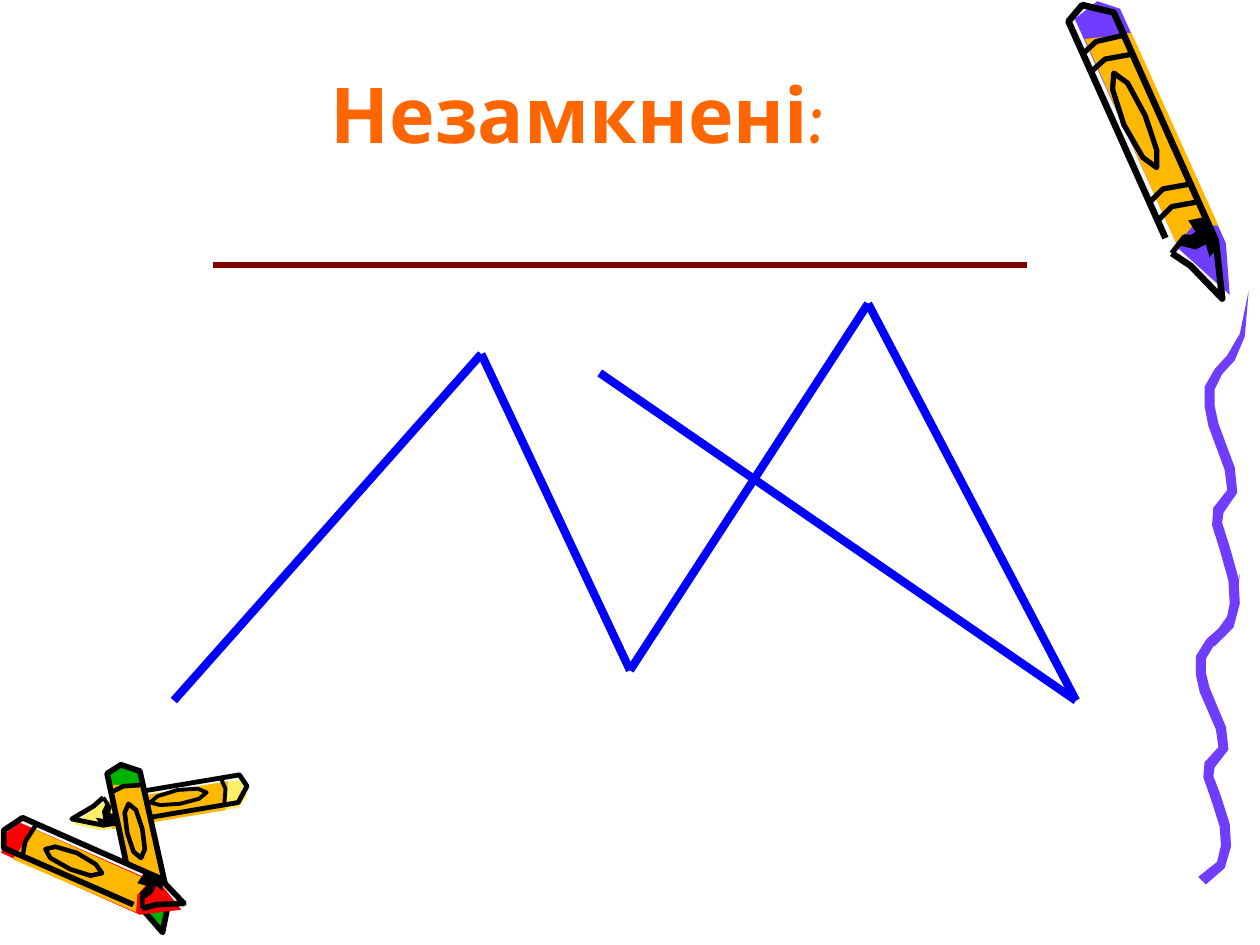
from dataclasses import dataclass
from itertools import pairwise
from math import cos, hypot, pi, sin

from lxml.etree import SubElement
from pptx import Presentation
from pptx.dml.color import RGBColor
from pptx.enum.shapes import MSO_CONNECTOR as Conn
from pptx.enum.text import MSO_ANCHOR as Anchor, MSO_AUTO_SIZE as Fit, PP_ALIGN as Align
from pptx.oxml.ns import qn
from pptx.util import Pt

PX = 9144  # 100 px to the inch
INK, PAPER, AMBER, VIOLET = "000000", "F8F8F8", "FFB800", "703DFF"
RED, GREEN, CREAM = "FF0000", "00B200", "FFEF66"

# Middle of the wavy trail, in a frame of 36 by 284 px
WAVE = [(35, 0), (30, 35), (21, 53), (11, 64), (4, 77), (4, 91), (7, 106), (20, 141),
        (22, 159), (11, 174), (10, 185), (16, 204), (23, 229), (24, 248), (20, 265), (5, 279)]
WAVE_HIGH = 284

# Crayon lines as (along, across): along runs from 0 at the cap to 1 at the tip,
# across runs from -1 to 1 between the two long edges
NECK = [(0.81, -1), (0.78, -0.2), (0.83, 1)]
CONE = [(0.83, 1), (1, 0.2), (0.87, -0.5), (0.81, -1)]
SHELL = [(0.76, -1), (0.03, -1), (0, -0.1), (0.06, 1), *CONE]
COLLAR = [(0.79, -0.7), (0.78, 0.3), (0.74, 0.2), (0.75, 1),
          (0.85, 1), (0.87, 0.4), (0.83, 0.5), (0.83, 0)]


@dataclass
class Crayon:
    cap: tuple
    tip: tuple
    half: int     # half of the thickness
    wax: str
    lean: float   # how far the colour slips past the ink
    pen: float    # ink width
    bands: tuple = (0.14,)

    def place(self, spots, slip=0):
        """Turn (along, across) spots into px on the crayon's axis."""
        (x, y), (end_x, end_y) = self.cap, self.tip
        run, drop = end_x - x, end_y - y
        size = self.half / hypot(run, drop)
        return [(x + run * u + drop * size * (v + slip),
                 y + drop * u - run * size * (v + slip)) for u, v in spots]


BIG = Crayon((61, 3), (167, 238), 18, VIOLET, 0.33, 3.75, (0.14, 0.2, 0.64, 0.7))
PILE = [
    Crayon((196, 25), (57, 48), 11, CREAM, 0.35, 2.75),
    Crayon((97, 7), (126, 141), 13, GREEN, 0, 3.25),
    Crayon((4, 58), (145, 120), 14, RED, -0.35, 3.25),
]


def color(code):
    return RGBColor.from_string(code)


def draw_shape(slide, box, spots, fill=None, pen=0, close=True):
    """Draw a filled outline, or an ink stroke when a pen width is given."""
    first, *rest = spots
    path = slide.shapes.build_freeform(*first, scale=PX)
    path.add_line_segments(rest, close=close)
    shape = path.convert_to_shape(box[0] * PX, box[1] * PX)
    shape.shadow.inherit = False
    if fill:
        shape.fill.solid()
        shape.fill.fore_color.rgb = color(fill)
    else:
        shape.fill.background()
    if pen:
        shape.line.color.rgb = color(INK)
        shape.line.width = Pt(pen)
    else:
        shape.line.fill.background()


def draw_crayon(slide, box, crayon):
    def paint(spots, fill):
        draw_shape(slide, box, crayon.place(spots, crayon.lean), fill)

    def ink(spots, close=False, share=1):
        draw_shape(slide, box, crayon.place(spots), pen=crayon.pen * share, close=close)

    # Paper, wax and wrapper
    draw_shape(slide, box, crayon.place(SHELL), PAPER)
    paint([(0.03, -1), (0.01, 0.2), (0.06, 1), (0.85, 1), (1, 0.2), (0.81, -1)], crayon.wax)
    paint([(0.1, -1), (0.12, 0), (0.14, 1), (0.79, 1), (0.76, 0), (0.79, -1)], AMBER)

    # Outline and dark collar
    ink(SHELL)
    ink(NECK, share=0.8)
    draw_shape(slide, box, crayon.place(COLLAR), INK)

    # Bent bands across the wrapper
    for along in crayon.bands:
        ink([(along, -1), (along - 0.02, -0.2), (along, 1)], share=0.8)

    # Eight-sided oval label
    turns = [step * pi / 4 for step in range(8)]
    ink([(0.39 + 0.16 * cos(t), -0.1 + 0.5 * sin(t)) for t in turns], close=True, share=0.8)


def draw_trail(slide, box):
    """Widen the wave into a ribbon that starts at a point."""
    tall = box[3] / WAVE_HIGH
    knots = [(x, y * tall) for x, y in WAVE]
    near, far = [], []
    for i, (x, y) in enumerate(knots):
        back, ahead = knots[max(i - 1, 0)], knots[min(i + 1, len(knots) - 1)]
        run, drop = ahead[0] - back[0], ahead[1] - back[1]
        size = min(2 * i, 4) / hypot(run, drop)
        near.append((x - drop * size, y + run * size))
        far.append((x + drop * size, y - run * size))
    draw_shape(slide, box, near + far[::-1], VIOLET)


def draw_lines(slide, box, spots, code, width):
    left, top = box[:2]
    ends = [((left + x) * PX, (top + y) * PX) for x, y in spots]
    for start, end in pairwise(ends):
        line = slide.shapes.add_connector(Conn.STRAIGHT, *start, *end)
        line.line.color.rgb = color(code)
        line.line.width = Pt(width)
        SubElement(line._element.spPr, qn("a:effectLst"))


def set_title(slide, box, text):
    title = slide.shapes.title
    for name, value in zip(("left", "top", "width", "height"), box):
        setattr(title, name, value * PX)
    frame = title.text_frame
    frame.text = text
    looks = {"auto_size": Fit.NONE, "word_wrap": True, "vertical_anchor": Anchor.BOTTOM}
    for name, value in looks.items():
        setattr(frame, name, value)
    para = frame.paragraphs[0]
    para.alignment = Align.CENTER
    font = para.runs[0].font
    for name, value in {"name": "Comic Neue", "size": Pt(44), "bold": True}.items():
        setattr(font, name, value)
    font.color.rgb = color("FF6600")


def main():
    deck = Presentation()
    deck.slide_width, deck.slide_height = 1000 * PX, 750 * PX
    slide = deck.slides.add_slide(deck.slide_layouts[5])

    # Crayons and trail around the edges
    draw_crayon(slide, (800, 0, 200, 240), BIG)
    for crayon in PILE:
        draw_crayon(slide, (0, 600, 200, 150), crayon)
    for box in ((949, 455, 36, 248), (956, 231, 36, 284)):
        draw_trail(slide, box)

    # Title and rule
    set_title(slide, (83, 44, 751, 87), "Незамкнені:")
    draw_lines(slide, (169, 210, 646, 0), [(0, 0), (646, 0)], "800000", 3.5)

    # Open broken line
    zigzag = [(0, 315), (244, 40), (362, 291), (551, 0), (716, 315), (338, 55)]
    draw_lines(slide, (138, 241, 716, 315), zigzag, "0000FF", 4.75)
    deck.save("out.pptx")


if __name__ == "__main__":
    main()
